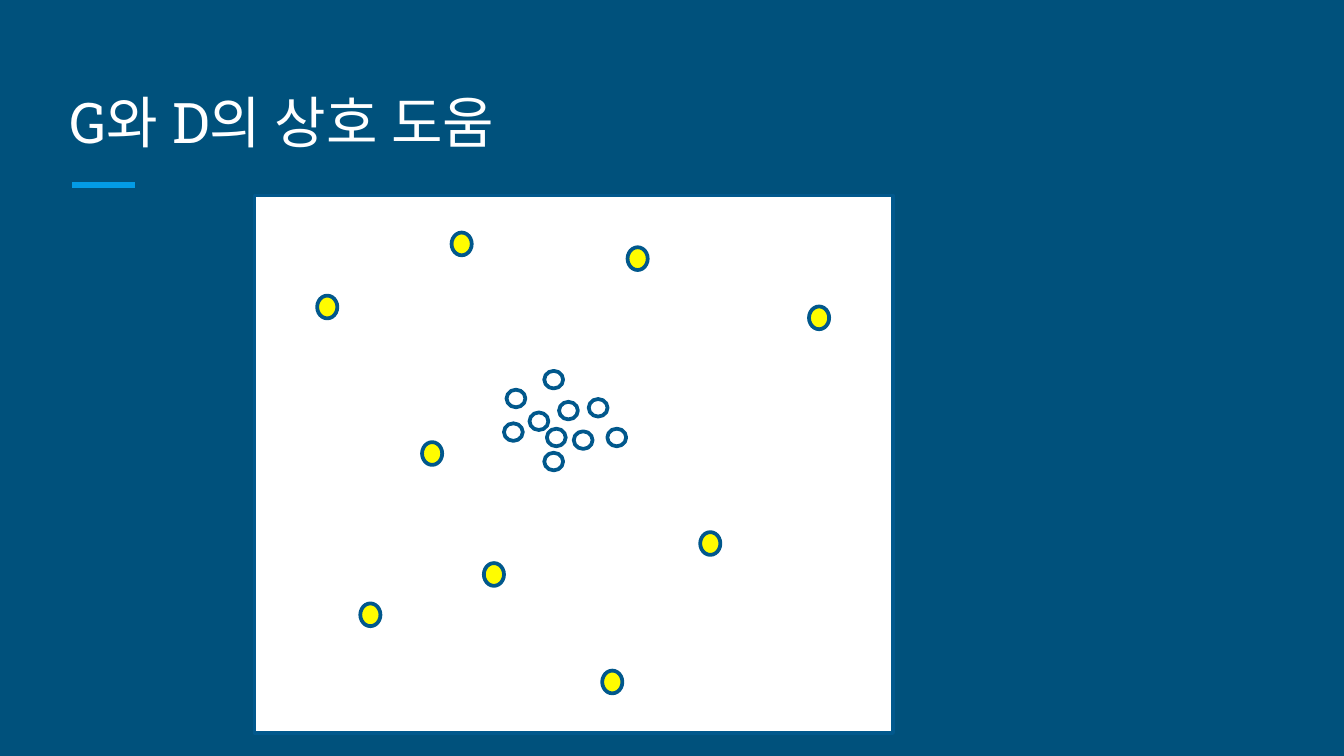
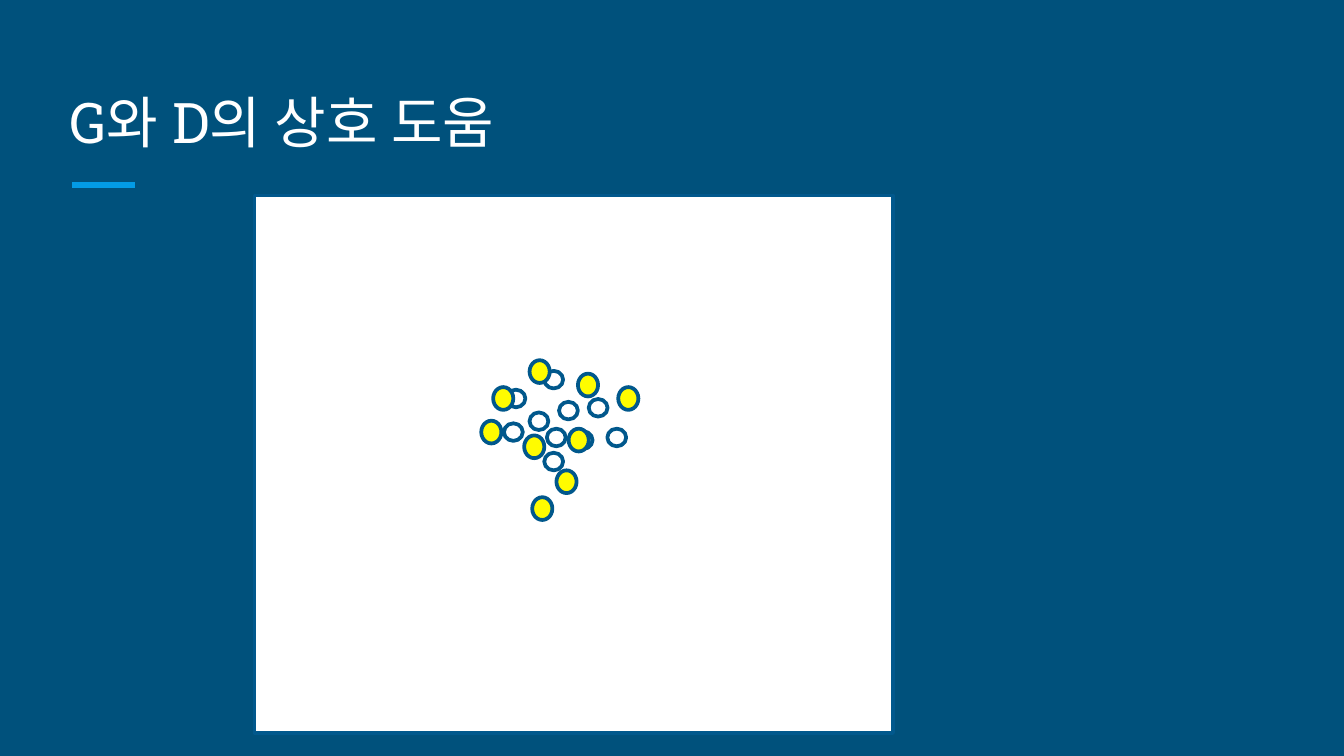
from lxml import etree
from pptx import Presentation
from pptx.dml.color import RGBColor
from pptx.enum.shapes import MSO_CONNECTOR as CONNECTOR, MSO_SHAPE as SHAPE
from pptx.enum.text import MSO_ANCHOR as ANCHOR
from pptx.oxml.ns import qn
from pptx.util import Pt

BACKGROUND, ACCENT, OUTLINE = "00517C", "039BE5", "01588C"
WHITE, YELLOW = "FFFFFF", "FFFC00"
TITLE = "G와 D의 상호 도움"
TITLE_FONT = "Roboto Slab"

REAL_SIZE = (10.1, 9.4)
GENERATED_SIZE = (10.8, 12.2)

# Left and top of each dot, in points
REAL_DOTS = [
    (271.4, 208.8), (283.7, 221), (291.6, 198.7), (315.4, 213.8), (270, 226.8),
    (307.4, 231.1), (291.6, 242.6), (325.4, 229.7), (293, 229.7), (299.5, 215.3),
]
SCATTERED_DOTS = [
    (193, 323.3), (322.6, 359.3), (375.1, 285.1), (433.4, 164.2), (336.2, 132.5),
    (226.1, 236.9), (169.9, 158.4), (241.9, 124.6), (259.2, 301.7),
]
GATHERED_DOTS = [
    (285.1, 266.4), (283.7, 193), (280.8, 233.3), (264.2, 207.4), (298.1, 252),
    (309.6, 200.2), (257.8, 225.4), (331.2, 207.4), (304.6, 229.7),
]


def color(value):
    return RGBColor.from_string(value)


def add_outlined(page, kind, position, size, fill):
    """Add a filled shape with the common outline."""
    shape = page.shapes.add_shape(kind, *map(Pt, position + size))
    shape.shadow.inherit = False
    shape.fill.solid()
    shape.fill.fore_color.rgb = color(fill)
    shape.line.color.rgb = color(OUTLINE)
    shape.line.width = Pt(2)


deck = Presentation()
deck.slide_width, deck.slide_height = Pt(720), Pt(405)

for generated_dots in (SCATTERED_DOTS, GATHERED_DOTS):
    page = deck.slides.add_slide(deck.slide_layouts[6])
    page.background.fill.solid()
    page.background.fill.fore_color.rgb = color(BACKGROUND)

    rule = page.shapes.add_connector(
        CONNECTOR.STRAIGHT, Pt(38.6), Pt(99.2), Pt(72.3), Pt(99.2))
    rule.line.color.rgb = color(ACCENT)
    rule.line.width = Pt(3)
    etree.SubElement(rule._element.spPr, qn("a:effectLst"))

    add_outlined(page, SHAPE.RECTANGLE, (136.4, 104.7), (342, 288), WHITE)

    box = page.shapes.add_textbox(Pt(30.3), Pt(36), Pt(659), Pt(54))
    frame = box.text_frame
    frame.word_wrap = True
    frame.vertical_anchor = ANCHOR.BOTTOM
    frame.margin_left = frame.margin_right = Pt(7.2)
    frame.margin_top = frame.margin_bottom = Pt(7.2)
    span = frame.paragraphs[0].add_run()
    span.text = TITLE
    span.font.name = TITLE_FONT
    span.font.size = Pt(30)
    span.font.color.rgb = color(WHITE)
    for script in ("a:ea", "a:cs"):
        etree.SubElement(span.font._element, qn(script), typeface=TITLE_FONT)

    for dots, size, fill in ((REAL_DOTS, REAL_SIZE, WHITE),
                             (generated_dots, GENERATED_SIZE, YELLOW)):
        for position in dots:
            add_outlined(page, SHAPE.OVAL, position, size, fill)

deck.save("out.pptx")
